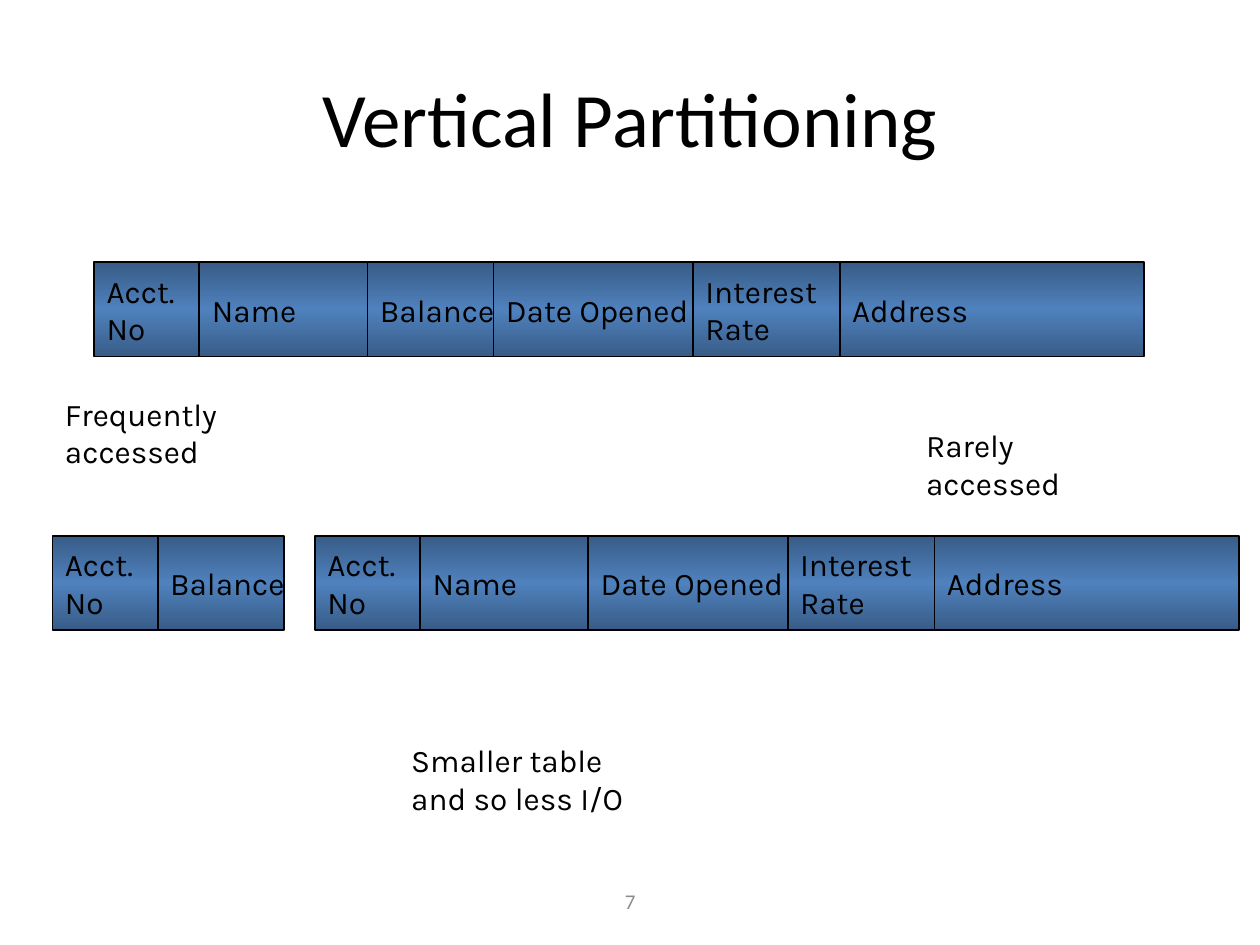
import pptx
import pptx.util
import pptx.dml.color
import pptx.enum.shapes
import pptx.enum.text
import pptx.oxml
import pptx.oxml.ns

Cm = pptx.util.Cm
Pt = pptx.util.Pt
ALIGN = pptx.enum.text.PP_ALIGN
ANCHOR = pptx.enum.text.MSO_ANCHOR

BLACK = "000000"
BLUE = "4F81BD"
GREY = "8C8C8C"
SHADE = 46275
HIGH = 1.9
WIDTHS = {
    "Acct.\vNo": 2.12,
    "Name": 3.39,
    "Balance": 2.54,
    "Date Opened": 4.02,
    "Interest\vRate": 2.96,
    "Address": 6.14,
}
ALL = list(WIDTHS)
HOT = ["Acct.\vNo", "Balance"]
COLD = [name for name in ALL if name != "Balance"]


def paint(value):
    """Return the colour for a hex string."""
    return pptx.dml.color.RGBColor.from_string(value)


def write(frame, lines, size=18, face="Karla", color=BLACK, align=ALIGN.LEFT):
    """Fill a text frame with one paragraph per line."""
    frame.text = "\n".join(lines)
    for para in frame.paragraphs:
        para.alignment = align
        para.font.size = Pt(size)
        para.font.name = face
        para.font.color.rgb = paint(color)


def label(slide, box, lines, anchor=ANCHOR.TOP, **style):
    """Place a wrapped text box."""
    frame = slide.shapes.add_textbox(*map(Cm, box)).text_frame
    frame.word_wrap = True
    frame.vertical_anchor = anchor
    write(frame, lines, **style)


def shade(shape):
    """Give a shape a vertical fill that is dark at both edges."""
    edge = f'<a:srgbClr val="{BLUE}"><a:shade val="{SHADE}"/></a:srgbClr>'
    core = f'<a:srgbClr val="{BLUE}"/>'
    stops = "".join(
        f'<a:gs pos="{pos}">{color}</a:gs>'
        for pos, color in ((0, edge), (50000, core), (100000, edge))
    )
    fill = pptx.oxml.parse_xml(
        f'<a:gradFill {pptx.oxml.ns.nsdecls("a")} rotWithShape="1">'
        f'<a:gsLst>{stops}</a:gsLst><a:lin ang="5400000" scaled="1"/></a:gradFill>'
    )
    shape.fill.background()
    props = shape.element.spPr
    props.replace(props.find(pptx.oxml.ns.qn("a:noFill")), fill)


def cell(shapes, box, name):
    """Draw one column heading."""
    kind = pptx.enum.shapes.MSO_SHAPE.RECTANGLE
    shape = shapes.add_shape(kind, *map(Cm, box))
    shape.shadow.inherit = False
    shade(shape)
    shape.line.color.rgb = paint(BLACK)
    shape.line.width = Pt(1)
    frame = shape.text_frame
    frame.word_wrap = False
    frame.vertical_anchor = ANCHOR.MIDDLE
    write(frame, [name])


def record(shapes, left, top, names):
    """Draw a row of adjoining columns from its top left corner."""
    for name in names:
        cell(shapes, (left, top, WIDTHS[name], HIGH), name)
        left += WIDTHS[name]


def build():
    """Build and save the slide."""
    deck = pptx.Presentation()
    deck.slide_width, deck.slide_height = Cm(25.4), Cm(19.05)
    slide = deck.slides.add_slide(deck.slide_layouts[6])
    plain = {"anchor": ANCHOR.MIDDLE, "face": "Calibri", "align": ALIGN.CENTER}
    label(slide, (8.68, 17.65, 8.05, 1.02), ["7"], size=12, color=GREY, **plain)
    label(slide, (1.27, 0.76, 22.86, 3.18), ["Vertical Partitioning"], size=44, **plain)
    label(slide, (1.06, 7.83, 4.45, 2.28), ["Frequently", "accessed"])
    label(slide, (18.42, 8.47, 3.85, 2.28), ["Rarely", "accessed"])
    label(slide, (8.04, 14.82, 6.56, 2.28), ["Smaller table", "and so less I/O"])
    record(slide.shapes, 1.9, 5.29, ALL)
    for left, names in ((1.06, HOT), (6.35, COLD)):
        record(slide.shapes.add_group_shape().shapes, left, 10.8, names)
    deck.save("out.pptx")


if __name__ == "__main__":
    build()
